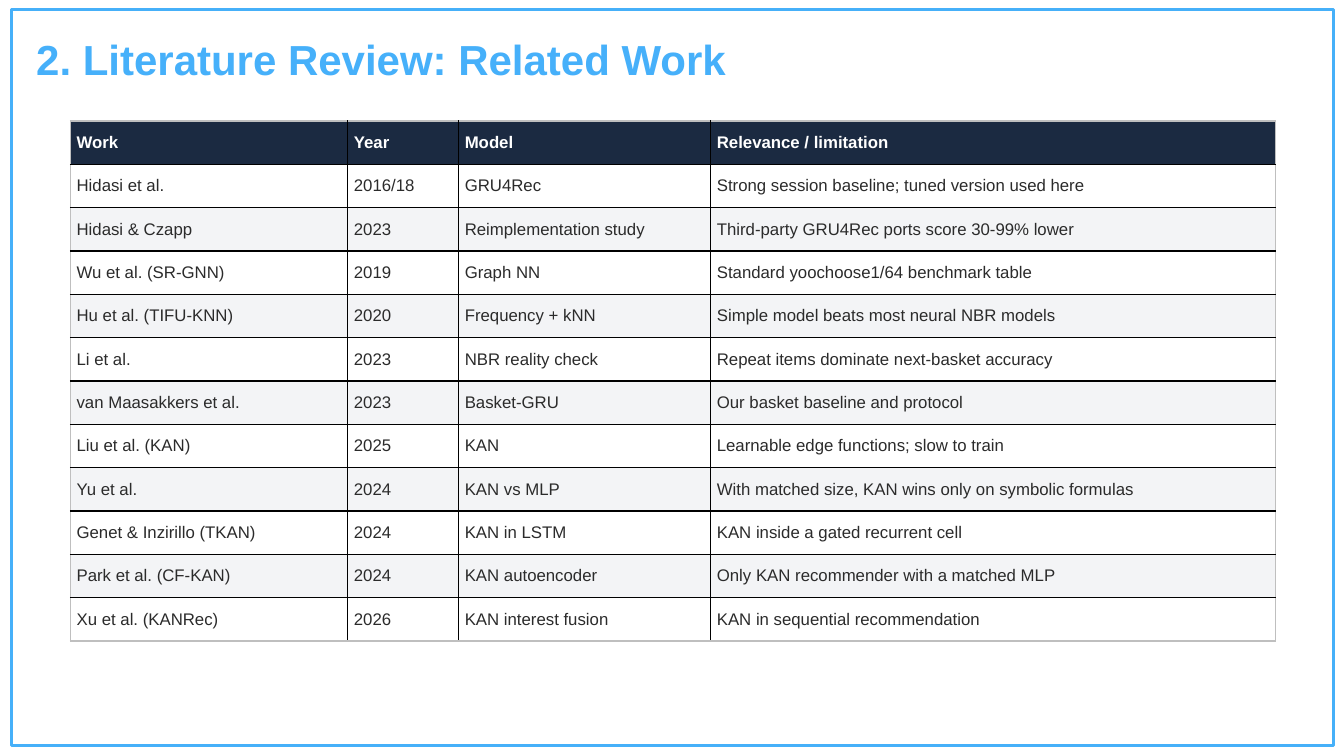
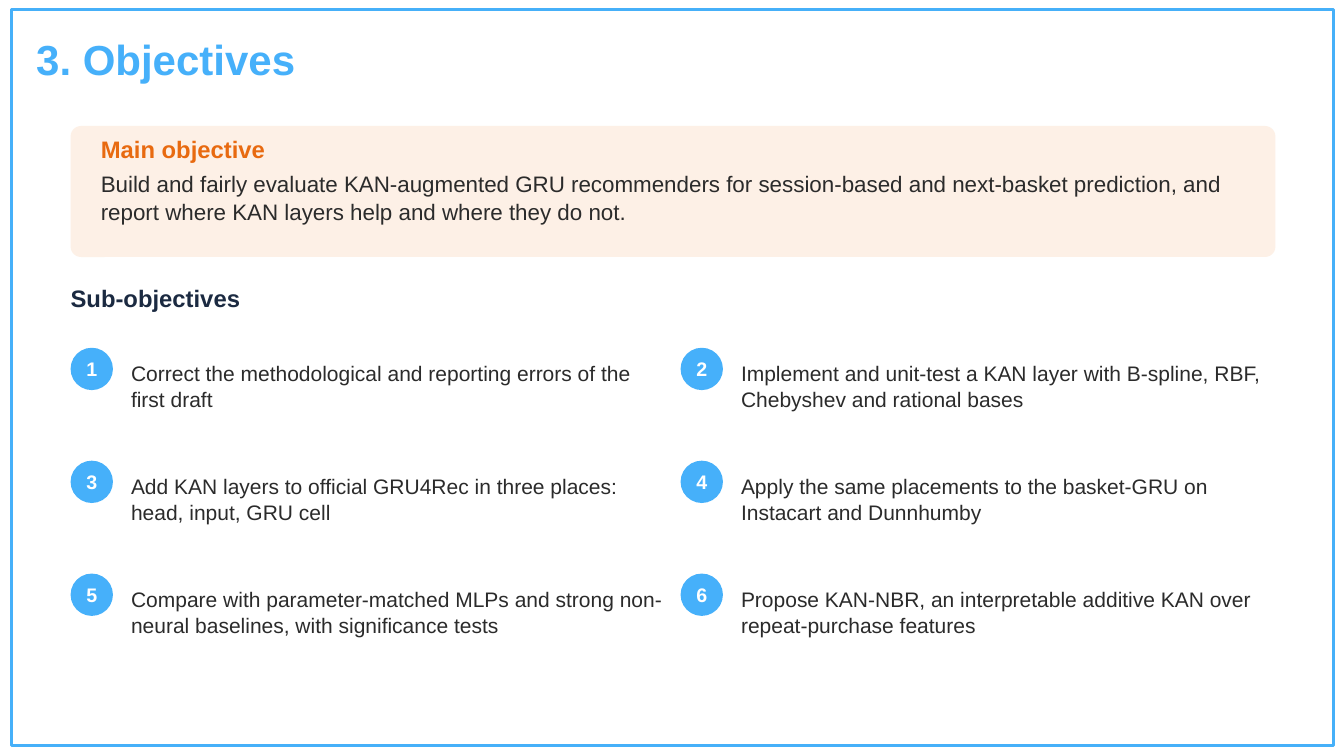
"""Build two slides: a related-work table and a list of objectives."""
import lxml.etree
import pptx
import pptx.dml.color
import pptx.enum.shapes
import pptx.enum.text
import pptx.oxml.ns
import pptx.util

RGBColor = pptx.dml.color.RGBColor
Inches = pptx.util.Inches
Pt = pptx.util.Pt
SHAPES = pptx.enum.shapes.MSO_SHAPE
ANCHOR = pptx.enum.text.MSO_ANCHOR
ALIGN = pptx.enum.text.PP_ALIGN

WHITE = RGBColor(0xFF, 0xFF, 0xFF)
BLACK = RGBColor(0x00, 0x00, 0x00)
SKY = RGBColor(0x46, 0xB0, 0xFA)
FRAME_BLUE = RGBColor(0x46, 0xB0, 0xF9)
NAVY = RGBColor(0x1B, 0x2A, 0x41)
INK = RGBColor(0x2B, 0x2B, 0x2B)
BAND = RGBColor(0xF3, 0xF4, 0xF6)
EDGE = RGBColor(0xBF, 0xBF, 0xBF)
ORANGE = RGBColor(0xE8, 0x6A, 0x10)
PEACH = RGBColor(0xFD, 0xF0, 0xE6)
FONT = "Arial"
SLIDE_SIZE = (13.33, 7.5)
LEFT, CONTENT_WIDTH = 0.7, 11.95

WORKS_TITLE = "2. Literature Review: Related Work"
WORKS = [
    ("Work", "Year", "Model", "Relevance / limitation"),
    ("Hidasi et al.", "2016/18", "GRU4Rec", "Strong session baseline; tuned version used here"),
    ("Hidasi & Czapp", "2023", "Reimplementation study", "Third-party GRU4Rec ports score 30-99% lower"),
    ("Wu et al. (SR-GNN)", "2019", "Graph NN", "Standard yoochoose1/64 benchmark table"),
    ("Hu et al. (TIFU-KNN)", "2020", "Frequency + kNN", "Simple model beats most neural NBR models"),
    ("Li et al.", "2023", "NBR reality check", "Repeat items dominate next-basket accuracy"),
    ("van Maasakkers et al.", "2023", "Basket-GRU", "Our basket baseline and protocol"),
    ("Liu et al. (KAN)", "2025", "KAN", "Learnable edge functions; slow to train"),
    ("Yu et al.", "2024", "KAN vs MLP", "With matched size, KAN wins only on symbolic formulas"),
    ("Genet & Inzirillo (TKAN)", "2024", "KAN in LSTM", "KAN inside a gated recurrent cell"),
    ("Park et al. (CF-KAN)", "2024", "KAN autoencoder", "Only KAN recommender with a matched MLP"),
    ("Xu et al. (KANRec)", "2026", "KAN interest fusion", "KAN in sequential recommendation"),
]
COLUMN_WIDTHS = (2.75, 1.1, 2.5, 5.6)
ROW_HEIGHT = 0.43

OBJECTIVES_TITLE = "3. Objectives"
MAIN_HEADING = "Main objective"
MAIN_TEXT = (
    "Build and fairly evaluate KAN-augmented GRU recommenders for session-based and "
    "next-basket prediction, and report where KAN layers help and where they do not."
)
SUB_HEADING = "Sub-objectives"
SUB_OBJECTIVES = [
    "Correct the methodological and reporting errors of the first draft",
    "Implement and unit-test a KAN layer with B-spline, RBF, Chebyshev and rational bases",
    "Add KAN layers to official GRU4Rec in three places: head, input, GRU cell",
    "Apply the same placements to the basket-GRU on Instacart and Dunnhumby",
    "Compare with parameter-matched MLPs and strong non-neural baselines, with significance tests",
    "Propose KAN-NBR, an interpretable additive KAN over repeat-purchase features",
]
GRID_TOP, GRID_COLUMNS, COLUMN_STEP, ROW_STEP = 3.45, 2, 6.05, 1.12
BADGE_SIZE = 0.42


def style_paragraph(para, size, color, bold=False):
    """Set the font of every run in a paragraph."""
    for span in para.runs:
        span.font.name = FONT
        span.font.size = Pt(size)
        span.font.bold = bold
        span.font.color.rgb = color


def clear_margins(frame):
    """Remove the inner margins of a text frame."""
    frame.margin_left = frame.margin_right = frame.margin_top = frame.margin_bottom = 0


def add_shape(page, kind, bounds, fill=None, line=None):
    """Add a flat preset shape."""
    shape = page.shapes.add_shape(kind, *map(Inches, bounds))
    shape.shadow.inherit = False
    if fill is None:
        shape.fill.background()
    else:
        shape.fill.solid()
        shape.fill.fore_color.rgb = fill
    if line is None:
        shape.line.fill.background()
    else:
        shape.line.color.rgb = line
        shape.line.width = Pt(2.25)
    return shape


def add_text(page, bounds, entries, anchor=ANCHOR.TOP):
    """Add a text box from (text, size, color, bold, space after) entries."""
    frame = page.shapes.add_textbox(*map(Inches, bounds)).text_frame
    frame.word_wrap = True
    frame.vertical_anchor = anchor
    clear_margins(frame)
    frame.text = "\n".join(entry[0] for entry in entries)
    for para, (_, size, color, bold, space_after) in zip(frame.paragraphs, entries):
        para.line_spacing = 1.05
        para.space_after = Pt(space_after)
        style_paragraph(para, size, color, bold)


def add_page(deck, title):
    """Add a framed page with its title."""
    page = deck.slides.add_slide(deck.slide_layouts[6])
    page.background.fill.solid()
    page.background.fill.fore_color.rgb = WHITE
    add_shape(page, SHAPES.RECTANGLE, (0.11, 0.09, 13.12, 7.31), line=FRAME_BLUE)
    add_text(page, (0.36, 0.26, 10.4, 0.62), [(title, 30, SKY, True, 6)], ANCHOR.MIDDLE)
    return page


def set_borders(cell, colors):
    """Draw the left, right, top and bottom borders of a cell."""
    properties = cell._tc.get_or_add_tcPr()
    for position, (side, color) in enumerate(zip("LRTB", colors)):
        line = lxml.etree.Element(pptx.oxml.ns.qn(f"a:ln{side}"), w=str(Pt(1)))
        fill = lxml.etree.SubElement(line, pptx.oxml.ns.qn("a:solidFill"))
        lxml.etree.SubElement(fill, pptx.oxml.ns.qn("a:srgbClr"), val=str(color))
        properties.insert(position, line)


def add_works(page):
    """Add the related-work table."""
    last_row, last_column = len(WORKS) - 1, len(COLUMN_WIDTHS) - 1
    bounds = (LEFT, 1.2, CONTENT_WIDTH, ROW_HEIGHT * len(WORKS))
    table = page.shapes.add_table(len(WORKS), len(COLUMN_WIDTHS), *map(Inches, bounds)).table
    for column, width in zip(table.columns, COLUMN_WIDTHS):
        column.width = Inches(width)
    for row, values in enumerate(WORKS):
        table.rows[row].height = Inches(ROW_HEIGHT)
        header = row == 0
        fill = NAVY if header else (WHITE, BAND)[(row - 1) % 2]
        for column, value in enumerate(values):
            cell = table.cell(row, column)
            cell.text = value
            cell.vertical_anchor = ANCHOR.MIDDLE
            cell.margin_left = cell.margin_right = Inches(0.06)
            cell.margin_top = cell.margin_bottom = Inches(0.02)
            cell.fill.solid()
            cell.fill.fore_color.rgb = fill
            style_paragraph(cell.text_frame.paragraphs[0], 12, WHITE if header else INK, header)
            outer = (column == 0, column == last_column, header, row == last_row)
            set_borders(cell, [EDGE if edge else BLACK for edge in outer])


def add_objectives(page):
    """Add the main objective panel and the numbered sub-objectives."""
    panel = add_shape(page, SHAPES.ROUNDED_RECTANGLE, (LEFT, 1.25, CONTENT_WIDTH, 1.3), PEACH)
    panel.adjustments[0] = 0.08
    add_text(page, (1, 1.32, 11.4, 1.2), [
        (MAIN_HEADING, 17, ORANGE, True, 4),
        (MAIN_TEXT, 16, INK, False, 6),
    ])
    add_text(page, (LEFT, 2.8, 6, 0.45), [(SUB_HEADING, 17, NAVY, True, 6)])
    for index, objective in enumerate(SUB_OBJECTIVES):
        row, column = divmod(index, GRID_COLUMNS)
        left = LEFT + column * COLUMN_STEP
        top = GRID_TOP + row * ROW_STEP
        badge = add_shape(page, SHAPES.OVAL, (left, top, BADGE_SIZE, BADGE_SIZE), SKY)
        frame = badge.text_frame
        clear_margins(frame)
        frame.vertical_anchor = ANCHOR.MIDDLE
        frame.text = str(index + 1)
        frame.paragraphs[0].alignment = ALIGN.CENTER
        style_paragraph(frame.paragraphs[0], 14, WHITE, True)
        bounds = (left + 0.6, top - 0.1, 5.3, 0.95)
        add_text(page, bounds, [(objective, 15, INK, False, 6)], ANCHOR.MIDDLE)


def main():
    """Build and save the deck."""
    deck = pptx.Presentation()
    deck.slide_width, deck.slide_height = map(Inches, SLIDE_SIZE)
    add_works(add_page(deck, WORKS_TITLE))
    add_objectives(add_page(deck, OBJECTIVES_TITLE))
    deck.save("out.pptx")


if __name__ == "__main__":
    main()
